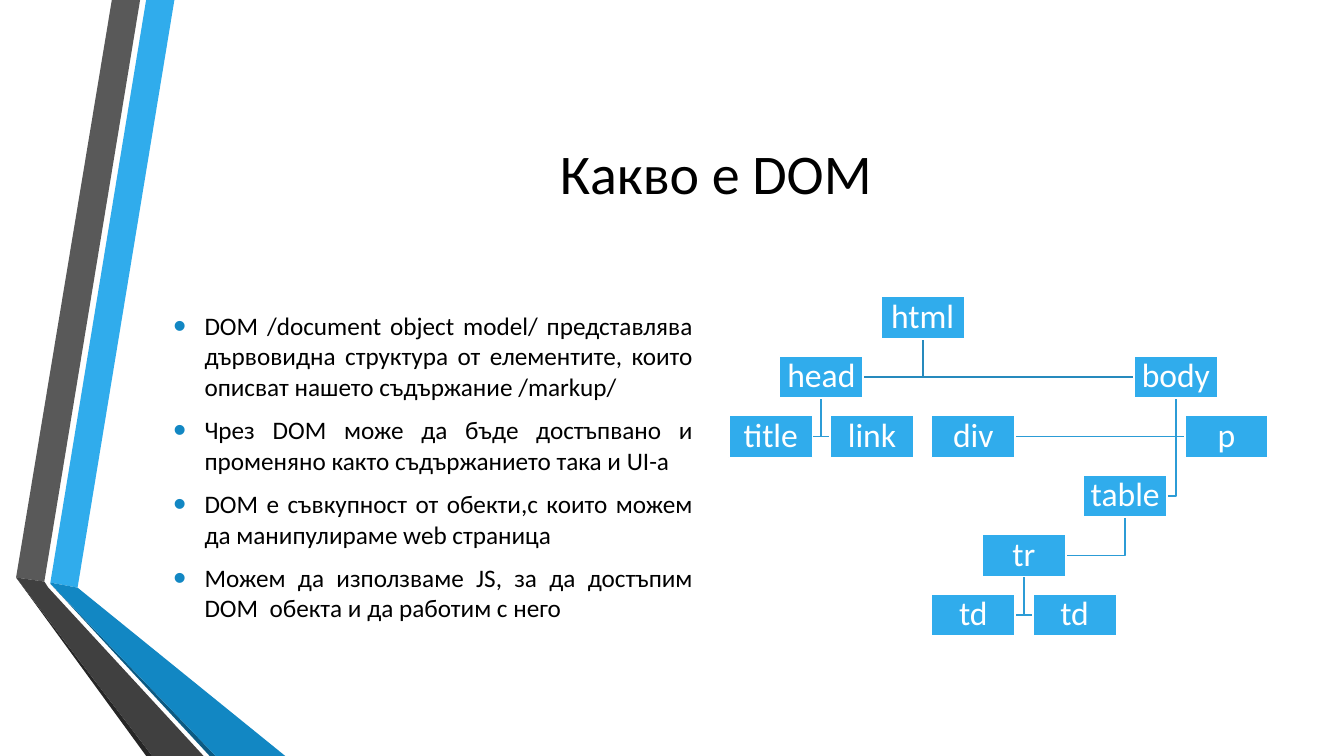
from dataclasses import dataclass

from lxml import etree
from pptx import Presentation
from pptx import util as u
from pptx.dml import color
from pptx.enum import shapes, text
from pptx.oxml import ns


@dataclass(frozen=True)
class Theme:
    font: str = "Calibri"
    title_size: float = 40
    body_size: float = 18
    node_size: float = 24
    line_width: float = 1.25
    black: str = "000000"
    white: str = "FFFFFF"
    blue: str = "30ACEC"
    bullet: str = "1287C3"
    top_link: str = "268ABD"
    link: str = "2C9CD6"


THEME = Theme()

RIBBONS = [
    ("30ACEC", [(0.5, 5.78), (0.77, 5.83), (1.73, 0), (1.45, 0)]),
    ("595959", [(1.39, 0), (1.11, 0), (0.16, 5.73), (0.44, 5.77)]),
    ("262626", [(0.16, 5.73), (1.45, 7.5), (1.51, 7.5)]),
    ("0C5A82", [(0.5, 5.79), (2.08, 7.5), (2.14, 7.5)]),
    ("1287C3", [(0.5, 5.79), (2.14, 7.5), (2.83, 7.5), (0.77, 5.83), (0.5, 5.78)]),
    ("404040", [(2.02, 7.5), (0.48, 5.83), (0.44, 5.77), (0.16, 5.73), (1.51, 7.5)]),
]

BULLETS = [
    "DOM /document object model/ представлява дървовидна структура от елементите, "
    "които описват нашето съдържание /markup/",
    "Чрез DOM може да бъде достъпвано и променяно както съдържанието така и UI-a",
    "DOM е съвкупност от обекти,с които можем да манипулираме web страница",
    "Можем да използваме JS, за да достъпим DOM  обекта и да работим с него",
]

# label, column, level, index of parent
NODES = [
    ("html", 3, 0, None),
    ("head", 1, 1, 0),
    ("title", 0, 2, 1),
    ("link", 2, 2, 1),
    ("body", 8, 1, 0),
    ("div", 4, 2, 4),
    ("p", 9, 2, 4),
    ("table", 7, 3, 4),
    ("tr", 5, 4, 7),
    ("td", 4, 5, 8),
    ("td", 6, 5, 8),
]
TREE_LEFT, TREE_TOP = 7.23, 2.94
COLUMN_STEP, LEVEL_STEP = 4.52 / 9, 0.59
NODE_W, NODE_H = 0.83, 0.42


def rgb(value):
    return color.RGBColor.from_string(value)


def add_run(p, words, size, ink):
    r = p.add_run()
    r.text = words
    r.font.name = THEME.font
    r.font.size = u.Pt(size)
    r.font.color.rgb = rgb(ink)


def add_outline(s, points, closed):
    start, *rest = [(u.Inches(x), u.Inches(y)) for x, y in points]
    builder = s.shapes.build_freeform(*start, scale=1.0)
    builder.add_line_segments(rest, close=closed)
    sp = builder.convert_to_shape()
    sp.shadow.inherit = False
    return sp


def add_ribbon(s, fill, points):
    sp = add_outline(s, points, True)
    sp.fill.solid()
    sp.fill.fore_color.rgb = rgb(fill)
    sp.line.fill.background()


def add_textbox(s, left, top, width, height):
    tf = s.shapes.add_textbox(*map(u.Inches, (left, top, width, height))).text_frame
    tf.word_wrap = True
    tf.vertical_anchor = text.MSO_ANCHOR.MIDDLE
    return tf


def add_title(s, words):
    p = add_textbox(s, 1.62, 0.75, 10.96, 1.92).paragraphs[0]
    p.alignment = text.PP_ALIGN.CENTER
    add_run(p, words, THEME.title_size, THEME.black)


def set_bullet(p):
    pPr = p._p.get_or_add_pPr()
    pPr.set("marL", str(u.Inches(0.31)))
    pPr.set("indent", str(-u.Inches(0.31)))
    clr = etree.SubElement(pPr, ns.qn("a:buClr"))
    etree.SubElement(clr, ns.qn("a:srgbClr"), val=THEME.bullet)
    etree.SubElement(pPr, ns.qn("a:buSzPct"), val="145000")
    etree.SubElement(pPr, ns.qn("a:buFont"), typeface="Arial")
    etree.SubElement(pPr, ns.qn("a:buChar"), char="•")


def add_bullets(s, items):
    tf = add_textbox(s, 1.62, 2.92, 5.35, 3.42)
    for i, item in enumerate(items):
        p = tf.add_paragraph() if i else tf.paragraphs[0]
        p.alignment = text.PP_ALIGN.JUSTIFY
        p.space_before = u.Pt(0.2 * THEME.body_size)
        p.space_after = u.Pt(6)
        set_bullet(p)
        add_run(p, item, THEME.body_size, THEME.black)


def node_corner(column, level):
    return TREE_LEFT + column * COLUMN_STEP, TREE_TOP + level * LEVEL_STEP


def add_link(s, parent, child):
    px, py = node_corner(*parent[1:3])
    cx, cy = node_corner(*child[1:3])
    stem, turn = px + NODE_W / 2, cy + NODE_H / 2
    end = cx if cx > px else cx + NODE_W
    sp = add_outline(s, [(stem, py + NODE_H), (stem, turn), (end, turn)], False)
    sp.fill.background()
    sp.line.color.rgb = rgb(THEME.top_link if parent[2] == 0 else THEME.link)
    sp.line.width = u.Pt(THEME.line_width)


def add_node(s, label, column, level):
    box = (*node_corner(column, level), NODE_W, NODE_H)
    sp = s.shapes.add_shape(shapes.MSO_SHAPE.RECTANGLE, *map(u.Inches, box))
    sp.shadow.inherit = False
    sp.fill.solid()
    sp.fill.fore_color.rgb = rgb(THEME.blue)
    sp.line.color.rgb = rgb(THEME.white)
    sp.line.width = u.Pt(THEME.line_width)
    tf = sp.text_frame
    tf.margin_left = tf.margin_right = tf.margin_top = tf.margin_bottom = u.Inches(0.02)
    tf.word_wrap = True
    tf.vertical_anchor = text.MSO_ANCHOR.MIDDLE
    p = tf.paragraphs[0]
    p.alignment = text.PP_ALIGN.CENTER
    p.line_spacing = 0.9
    add_run(p, label, THEME.node_size, THEME.white)


def add_tree(s, nodes):
    for node in nodes:
        if node[3] is not None:
            add_link(s, nodes[node[3]], node)
    for label, column, level, _ in nodes:
        add_node(s, label, column, level)


def main():
    prs = Presentation()
    prs.slide_width, prs.slide_height = u.Inches(13.33), u.Inches(7.5)
    s = prs.slides.add_slide(prs.slide_layouts[6])
    for fill, points in RIBBONS:
        add_ribbon(s, fill, points)
    add_title(s, "Какво е DOM")
    add_bullets(s, BULLETS)
    add_tree(s, NODES)
    prs.save("out.pptx")


if __name__ == "__main__":
    main()
